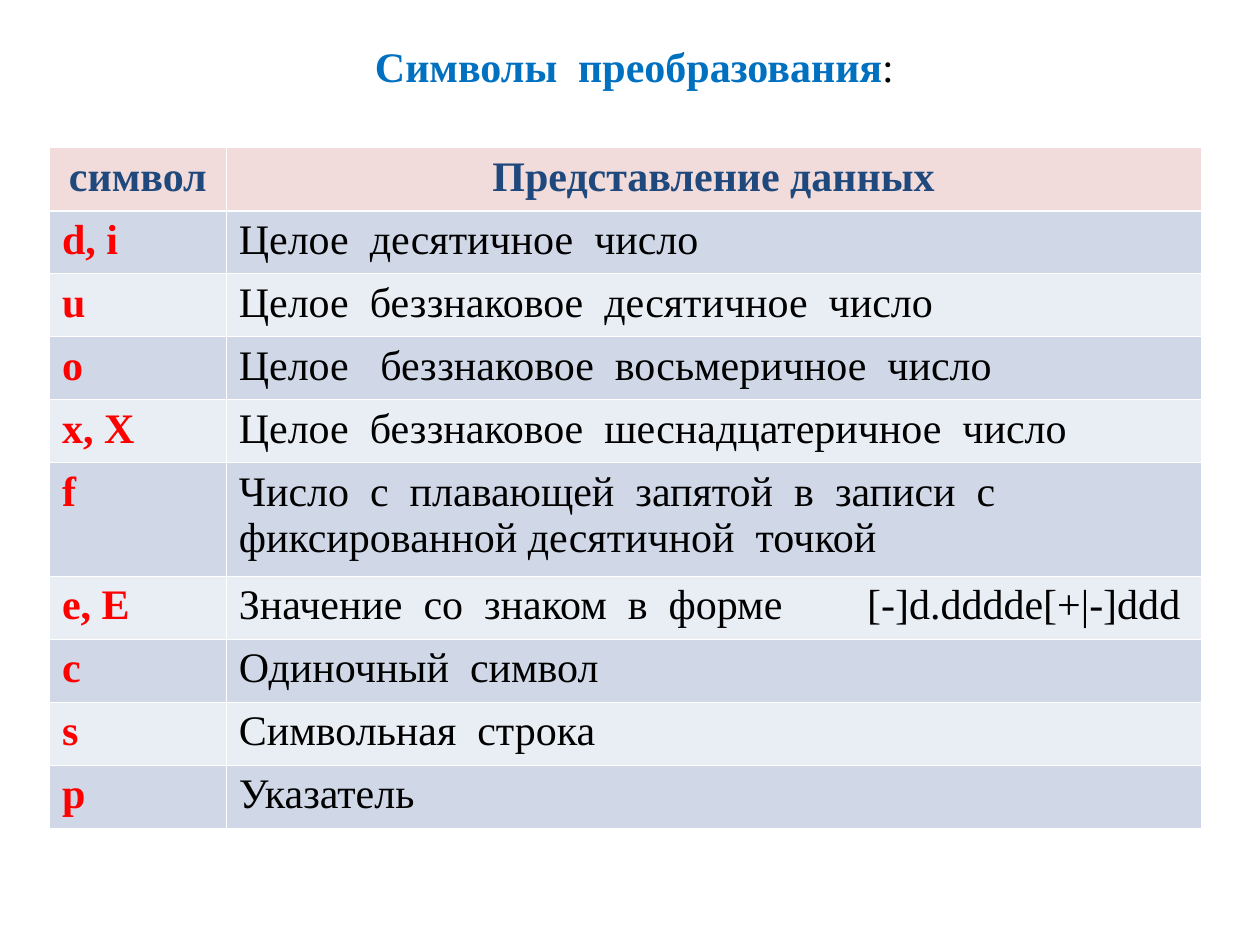
"""Build a slide that lists the conversion symbols in a table."""
import dataclasses

import pptx
import pptx.dml.color
import pptx.enum.text
import pptx.oxml
import pptx.oxml.ns
import pptx.util

Pt = pptx.util.Pt
ALIGN = pptx.enum.text.PP_ALIGN
NS = pptx.oxml.ns.nsdecls("a")


def rgb(value):
    return pptx.dml.color.RGBColor.from_string(value)


@dataclasses.dataclass(frozen=True)
class Theme:
    font: str = "Times New Roman"
    size: float = 24
    title: str = "0070C0"
    text: str = "000000"
    head: str = "1F497D"
    symbol: str = "FF0000"
    head_fill: str = "F2DCDB"
    bands: tuple = ("D0D8E8", "E9EDF4")
    border: str = "FFFFFF"
    thin: float = 0.45
    thick: float = 1.47


class Builder:
    def __init__(self, slide, theme):
        self.s = slide
        self.theme = theme

    def run(self, p, text, color, bold=False):
        r = p.add_run()
        r.text = text
        font = {"name": self.theme.font, "size": Pt(self.theme.size), "bold": bold}
        for name, value in font.items():
            setattr(r.font, name, value)
        r.font.color.rgb = rgb(color)

    def title(self, box, parts):
        sp = self.s.shapes.title
        for name, value in zip(("left", "top", "width", "height"), box):
            setattr(sp, name, Pt(value))
        tf = sp.text_frame
        frame = {
            "word_wrap": True,
            "auto_size": pptx.enum.text.MSO_AUTO_SIZE.NONE,
            "vertical_anchor": pptx.enum.text.MSO_ANCHOR.TOP,
            "margin_top": Pt(6.6),
        }
        for name, value in frame.items():
            setattr(tf, name, value)
        p = tf.paragraphs[0]
        p.alignment = ALIGN.CENTER
        for part in parts:
            self.run(p, *part)

    def borders(self, cell, widths):
        tc_pr = cell._tc.get_or_add_tcPr()
        for i, (side, width) in enumerate(widths.items()):
            tc_pr.insert(i, pptx.oxml.parse_xml(
                f'<a:ln{side} {NS} w="{Pt(width)}"><a:solidFill>'
                f'<a:srgbClr val="{self.theme.border}"/></a:solidFill></a:ln{side}>'))

    def cell(self, cell, text, fill, color, bold, align, widths, tab):
        cell.fill.solid()
        cell.fill.fore_color.rgb = rgb(fill)
        self.borders(cell, widths)
        p = cell.text_frame.paragraphs[0]
        p.alignment = align
        if "\t" in text:
            p._p.get_or_add_pPr().append(pptx.oxml.parse_xml(
                f'<a:tabLst {NS}><a:tab pos="{Pt(tab)}" algn="l"/></a:tabLst>'))
        self.run(p, text, color, bold)

    def table(self, left, top, columns, heights, rows, tab):
        t = self.theme
        table = self.s.shapes.add_table(
            len(rows), len(columns), Pt(left), Pt(top),
            Pt(sum(columns)), Pt(sum(heights))).table
        for column, width in zip(table.columns, columns):
            column.width = Pt(width)
        for i, (row, height, texts) in enumerate(zip(table.rows, heights, rows)):
            row.height = Pt(height)
            header = i == 0
            fill = t.head_fill if header else t.bands[(i - 1) % 2]
            align = ALIGN.CENTER if header else ALIGN.LEFT
            colors = (t.head, t.head) if header else (t.symbol, t.text)
            widths = {"L": t.thin, "R": t.thin,
                      "T": t.thick if i == 1 else t.thin,
                      "B": t.thick if header else t.thin}
            for j, (cell, text) in enumerate(zip(row.cells, texts)):
                bold = header or j == 0
                self.cell(cell, text, fill, colors[j], bold, align, widths, tab)


ROWS = [
    ("символ", "Представление данных"),
    ("d, i", "Целое  десятичное  число"),
    ("u", "Целое  беззнаковое  десятичное  число"),
    ("o", "Целое   беззнаковое  восьмеричное  число"),
    ("x, X", "Целое  беззнаковое  шеснадцатеричное  число"),
    ("f", "Число  с  плавающей  запятой  в  записи  с  фиксированной десятичной  точкой"),
    ("e, E", "Значение  со  знаком  в  форме\t[-]d.dddde[+|-]ddd"),
    ("c", "Одиночный  символ"),
    ("s", "Символьная  строка"),
    ("p", "Указатель"),
]


def main():
    prs = pptx.Presentation()
    prs.slide_width, prs.slide_height = Pt(720), Pt(540)
    theme = Theme()
    b = Builder(prs.slides.add_slide(prs.slide_layouts[5]), theme)
    b.title((22.3, 16.6, 680.4, 500.4),
            [("Cимволы  преобразования", theme.title, True), (":", theme.text)])
    heights = [64.8 if symbol == "f" else 36 for symbol, _ in ROWS]
    b.table(28.3, 84.4, (101, 557), heights, ROWS, tab=359)
    prs.save("out.pptx")


if __name__ == "__main__":
    main()
